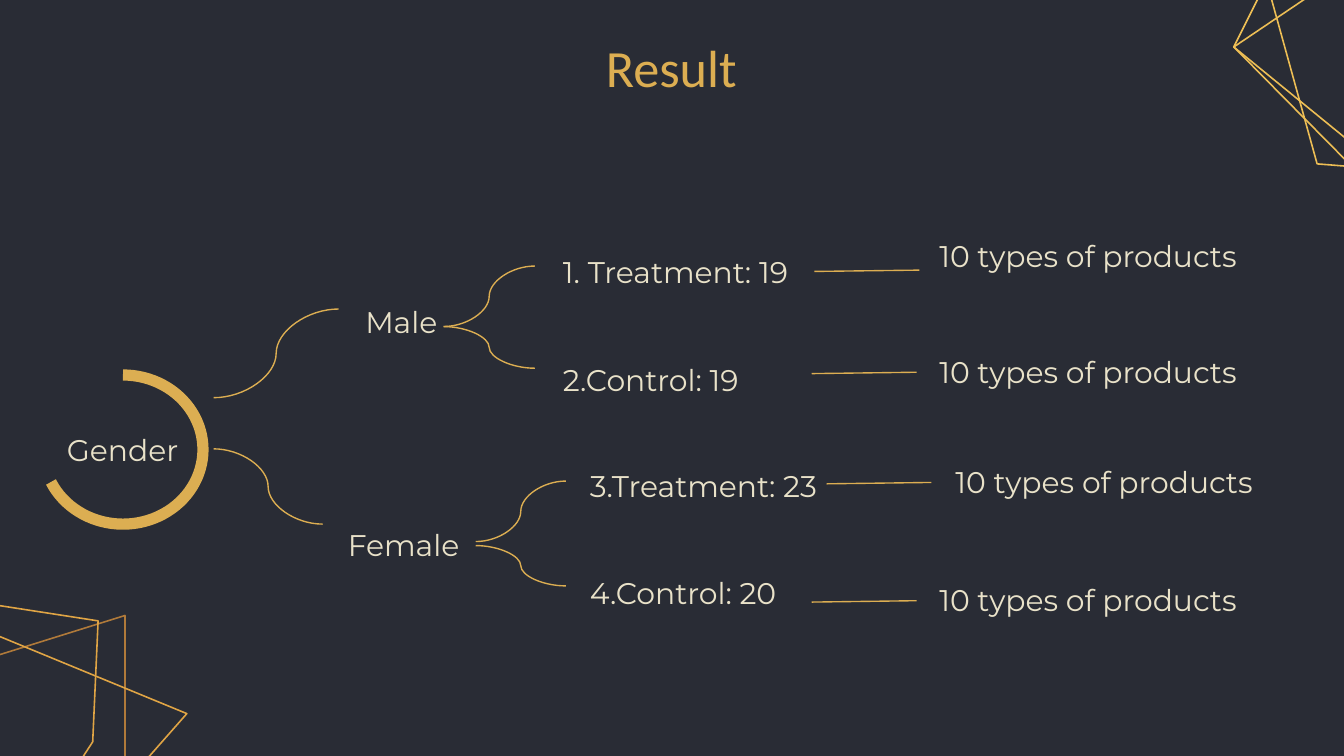
from lxml.etree import SubElement
from pptx import Presentation
from pptx.dml.color import RGBColor
from pptx.enum.shapes import MSO_CONNECTOR, MSO_SHAPE
from pptx.enum.text import MSO_ANCHOR, MSO_AUTO_SIZE, PP_ALIGN
from pptx.oxml.ns import qn
from pptx.util import Inches, Pt

GOLD, CREAM, DARK = "DCAE52", "E9E2C9", "292C35"
TITLE = "Result"
NODES = [
    ("Gender", 0.4, 3.11, 1.19),
    ("Male", 2.62, 2.16, 1.58),
    ("Female", 2.49, 3.82, 1.19),
    ("1. Treatment: 19", 4.09, 1.79, 1.97),
    ("2.Control: 19", 4.09, 2.59, 2.52),
    ("3.Treatment: 23", 4.29, 3.38, 2.97),
    ("4.Control: 20", 4.29, 4.18, 2.42),
]
LEAF, SPAN = "10 types of products", 2.95
LEAVES = [(6.89, 1.67), (6.89, 2.53), (7.01, 3.35), (6.89, 4.23)]
LINKS = [(6.06, 2.02), (6.04, 2.78), (6.15, 3.6), (6.04, 4.48)]
REACH = 0.78
CURVES = [
    (1.59, 2.96, 2.52, 2.3), (1.59, 3.34, 2.4, 3.9),
    (3.3, 2.43, 3.98, 1.98), (3.3, 2.43, 3.98, 2.74),
    (3.54, 4.03, 4.21, 3.58), (3.54, 4.06, 4.21, 4.36),
]
FRAMES = [
    ("B07A3A", [(-1.53, 8.98), (-3.26, 5.89), (0.93, 4.58), (0.93, 6.43)]),
    ("EDBE55", [(9.34, -0.44), (10.42, -0.97), (11.77, 0.22), (12.09, 1.11),
                (11.56, 1.36), (9.8, 1.22)]),
    ("EDBE55", [(9.18, 0.35), (9.58, -0.45), (12.01, 0.22), (12.17, 1.71),
                (10.04, 1.22)]),
    ("EDBE55", [(9.18, 0.35), (11.09, -0.94), (12.17, 1.71), (10.97, 1.81)]),
    ("E0A545", [(-3.34, 7.17), (-3.27, 5.33), (-0.69, 4.4), (0.73, 4.62),
                (0.69, 5.52), (-0.78, 7.78)]),
    ("E0A545", [(-2.61, 8.32), (-3.38, 7.21), (-0.72, 4.44), (1.39, 5.31),
                (-0.81, 7.81)]),
]


def rgb(code):
    """Turn a hex string into a colour."""
    return RGBColor.from_string(code)


def stroke(item, code, width):
    """Set the colour and width of a line."""
    item.line.color.rgb = rgb(code)
    item.line.width = Pt(width)


def frame(code, points):
    """Draw a closed outline."""
    spots = [(Inches(x), Inches(y)) for x, y in points]
    pen = slide.shapes.build_freeform(*spots[0])
    pen.add_line_segments(spots[1:], close=True)
    shape = pen.convert_to_shape()
    shape.shadow.inherit = False
    shape.fill.background()
    stroke(shape, code, 0.85)


def wire(kind, *ends):
    """Draw a thin gold connector."""
    line = slide.shapes.add_connector(kind, *map(Inches, ends))
    stroke(line, GOLD, 0.75)
    SubElement(line._element.spPr, qn("a:effectLst"))


def write(body, text, font, size, code):
    """Add one run and set even margins."""
    body.word_wrap = True
    body.margin_left = body.margin_right = Inches(0.1)
    body.margin_top = body.margin_bottom = Inches(0.1)
    run = body.paragraphs[0].add_run()
    run.text = text
    run.font.name, run.font.size = font, Pt(size)
    run.font.color.rgb = rgb(code)


def label(text, left, top, width):
    """Place a tree label."""
    box = slide.shapes.add_textbox(*map(Inches, (left, top, width, 0.47)))
    write(box.text_frame, text, "Montserrat", 16, CREAM)
    box.text_frame.auto_size = MSO_AUTO_SIZE.SHAPE_TO_FIT_TEXT


deck = Presentation()
deck.slide_width, deck.slide_height = Inches(10), Inches(10) * 9 // 16
slide = deck.slides.add_slide(deck.slide_layouts[5])
slide.background.fill.solid()
slide.background.fill.fore_color.rgb = rgb(DARK)

for code, points in FRAMES:
    frame(code, points)

head = slide.shapes.title
head.left, head.top, head.width, head.height = map(Inches, (2.18, 0.26, 5.63, 0.47))
write(head.text_frame, TITLE, "Calibri", 28, GOLD)
head.text_frame.vertical_anchor = MSO_ANCHOR.MIDDLE
head.text_frame.paragraphs[0].alignment = PP_ALIGN.CENTER

ring = slide.shapes.add_shape(MSO_SHAPE.ARC, *map(Inches, (0.32, 2.79, 1.19, 1.11)))
ring.shadow.inherit = False
ring.fill.background()
stroke(ring, GOLD, 6)
ring.adjustments[0], ring.adjustments[1] = 162, 93.47

for ends in CURVES:
    wire(MSO_CONNECTOR.CURVE, *ends)
for left, top in LINKS:
    wire(MSO_CONNECTOR.STRAIGHT, left, top, left + REACH, top - 0.01)
for node in NODES:
    label(*node)
for left, top in LEAVES:
    label(LEAF, left, top, SPAN)

deck.save("out.pptx")
